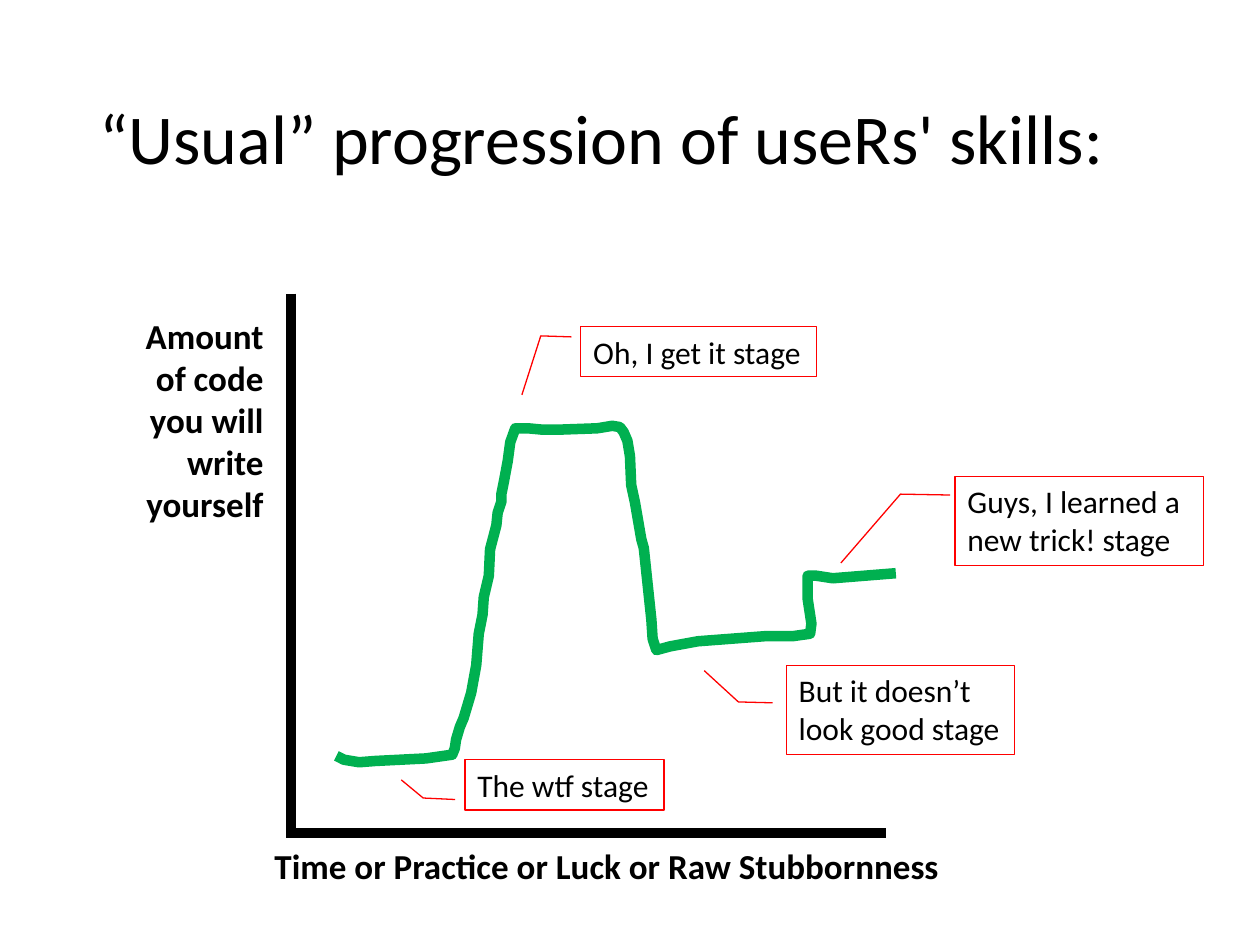
from dataclasses import dataclass

from lxml import etree
from pptx import Presentation
from pptx import util as u
from pptx.dml.color import RGBColor
from pptx.enum import shapes, text
from pptx.oxml import ns


@dataclass(frozen=True)
class Theme:
    font: str = "Calibri"
    ink: RGBColor = RGBColor(0, 0, 0)
    curve: RGBColor = RGBColor(0x00, 0xB0, 0x50)
    callout: RGBColor = RGBColor(0xFF, 0, 0)
    title_size: int = 40
    axis_size: int = 20
    callout_size: int = 18
    heavy: float = 6
    thin: float = 0.75


THEME = Theme()

# Skill curve: distance right of and above the point where the axes meet
CURVE = [
    # the wtf stage
    (0.36, 0.61), (0.42, 0.58), (0.54, 0.56), (0.67, 0.57), (1.07, 0.59), (1.28, 0.62),
    # climb
    (1.30, 0.67), (1.31, 0.74), (1.34, 0.84), (1.37, 0.91), (1.43, 1.11), (1.47, 1.33),
    (1.49, 1.58), (1.52, 1.73), (1.53, 1.87), (1.57, 2.04), (1.58, 2.25), (1.63, 2.44),
    (1.64, 2.54), (1.67, 2.63), (1.67, 2.69), (1.69, 2.79), (1.72, 2.95), (1.74, 3.10),
    # plateau
    (1.78, 3.21), (1.88, 3.21), (1.99, 3.20), (2.14, 3.20), (2.43, 3.21), (2.55, 3.23),
    (2.61, 3.22),
    # drop
    (2.64, 3.18), (2.67, 3.11), (2.69, 2.99), (2.70, 2.76), (2.73, 2.62), (2.78, 2.33),
    (2.80, 2.26), (2.86, 1.69), (2.87, 1.54), (2.90, 1.45),
    # second rise
    (3.01, 1.48), (3.23, 1.52), (3.76, 1.56), (3.98, 1.56), (4.12, 1.58), (4.13, 1.66),
    (4.10, 1.86), (4.10, 2.04), (4.17, 2.04), (4.30, 2.02), (4.80, 2.06),
]

# Stage, box within the chart, leader points as (y, x) shares of the box
STAGES = [
    ("Oh, I get it stage", (2.30, 0.26, 1.87, 0.40),
     (0.21, -0.04, 0.19, -0.17, 1.36, -0.25)),
    ("The wtf stage", (1.38, 3.70, 1.58, 0.40),
     (0.79, -0.05, 0.76, -0.21, 0.40, -0.32)),
    ("But it doesn’t\nlook good stage", (3.93, 2.95, 1.81, 0.71),
     (0.42, -0.06, 0.41, -0.21, 0.06, -0.36)),
    ("Guys, I learned a\nnew trick! stage", (5.27, 1.45, 1.97, 0.71),
     (0.21, -0.02, 0.20, -0.22, 0.97, -0.46)),
]


def inches(*lengths):
    return [u.Inches(length) for length in lengths]


def within(box, part):
    """Slide position of a part given relative to its region."""
    return inches(box[0] + part[0], box[1] + part[1], *part[2:])


def format_text(frame, size, align=text.PP_ALIGN.LEFT, bold=False):
    for paragraph in frame.paragraphs:
        paragraph.alignment = align
        for run in paragraph.runs:
            run.font.name = THEME.font
            run.font.size = u.Pt(size)
            run.font.bold = bold
            run.font.color.rgb = THEME.ink


def format_line(part, color, width):
    part.line.color.rgb = color
    part.line.width = u.Pt(width)


def add_title(slide, box):
    title = slide.shapes.title
    title.left, title.top, title.width, title.height = inches(*box)
    frame = title.text_frame
    frame.text = "“Usual” progression of useRs' skills:"
    frame.vertical_anchor = text.MSO_ANCHOR.MIDDLE
    frame.paragraphs[0].line_spacing = 0.9
    format_text(frame, THEME.title_size)


def add_axes(slide, box):
    left, top, width, height = box
    ends = [
        (left, top, left, top + height + 0.04),
        (left + width, top + height, left, top + height),
    ]
    for end in ends:
        axis = slide.shapes.add_connector(shapes.MSO_CONNECTOR.STRAIGHT, *inches(*end))
        format_line(axis, THEME.ink, THEME.heavy)
        etree.SubElement(axis.element.spPr, ns.qn("a:effectLst"))

    # Axis names
    names = [
        ("Time or Practice or Luck or Raw Stubbornness",
         (-0.23, height + 0.04, 5.48, 0.44), text.PP_ALIGN.LEFT),
        ("Amount of code you will write yourself",
         (-1.31, 0.12, 1.19, 1.78), text.PP_ALIGN.RIGHT),
    ]
    for name, part, align in names:
        frame = slide.shapes.add_textbox(*within(box, part)).text_frame
        frame.word_wrap = True
        frame.text = name
        format_text(frame, THEME.axis_size, align, bold=True)


def add_curve(slide, box):
    left, top, _, height = box
    points = [inches(left + x, top + height - y) for x, y in CURVE]
    builder = slide.shapes.build_freeform(*points[0])
    builder.add_line_segments(points[1:], close=False)
    curve = builder.convert_to_shape()
    curve.shadow.inherit = False
    curve.fill.background()
    format_line(curve, THEME.curve, THEME.heavy)


def add_callouts(slide, box):
    for stage, part, leader in STAGES:
        callout = slide.shapes.add_shape(
            shapes.MSO_SHAPE.LINE_CALLOUT_2, *within(box, part))
        for index, share in enumerate(leader):
            callout.adjustments[index] = share
        callout.shadow.inherit = False
        callout.fill.background()
        format_line(callout, THEME.callout, THEME.thin)
        frame = callout.text_frame
        frame.word_wrap = False
        frame.vertical_anchor = text.MSO_ANCHOR.TOP
        frame.text = stage
        format_text(frame, THEME.callout_size)


def main():
    deck = Presentation()
    deck.slide_width, deck.slide_height = inches(10, 7.5)
    slide = deck.slides.add_slide(deck.slide_layouts.get_by_name("Title Only"))
    chart_box = (2.31, 2.33, 4.72, 4.28)
    add_title(slide, (0.69, 0.4, 8.62, 1.45))
    add_axes(slide, chart_box)
    add_callouts(slide, chart_box)
    add_curve(slide, chart_box)
    deck.save("out.pptx")


if __name__ == "__main__":
    main()
